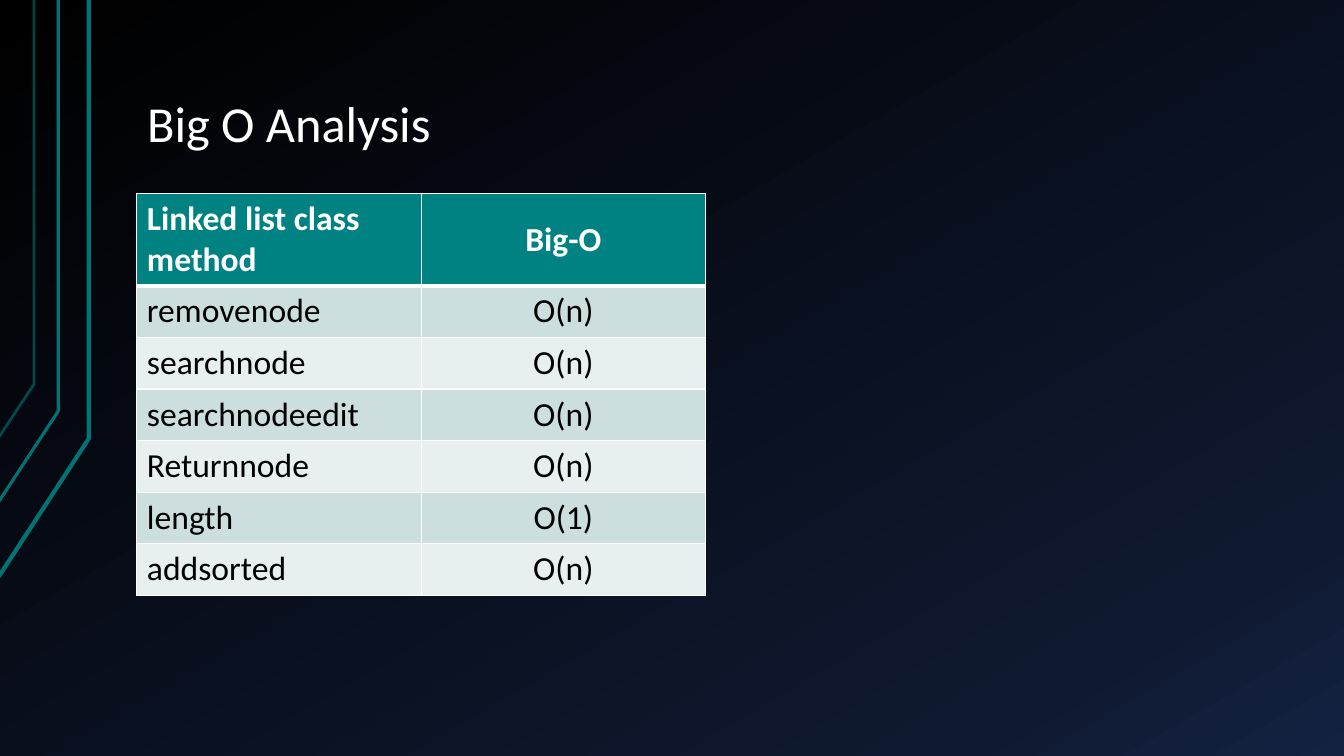
import copy

import pptx
import pptx.dml.color
import pptx.enum.text
import pptx.oxml
import pptx.oxml.ns
import pptx.util

Cm = pptx.util.Cm
Pt = pptx.util.Pt
FONT = "Calibri"
METHODS = [
    ("Linked list class method", "Big-O"),
    ("removenode", "O(n)"),
    ("searchnode", "O(n)"),
    ("searchnodeedit", "O(n)"),
    ("Returnnode", "O(n)"),
    ("length", "O(1)"),
    ("addsorted", "O(n)"),
]


def paint(color, value):
    """Set a colour format from a hex string."""
    color.rgb = pptx.dml.color.RGBColor.from_string(value)


def style_text(frame, size, value, bold=False):
    """Format every run of a text frame."""
    for para in frame.paragraphs:
        for span in para.runs:
            span.font.name = FONT
            span.font.size = Pt(size)
            span.font.bold = bold
            paint(span.font.color, value)


def add_background(page):
    """Fill the page with a diagonal gradient from black to navy."""
    fill = page.background.fill
    fill.gradient()
    fill.gradient_angle = 300
    first = fill.gradient_stops[0]
    paint(first.color, "000000")
    first.position = 0
    stop_list = fill._fill._gradFill.gsLst
    stop_list.append(copy.deepcopy(stop_list[1]))
    for stop, position, value in zip(list(fill.gradient_stops)[1:], (0.85, 1), ("0F1931", "142242")):
        stop.position = position
        paint(stop.color, value)


def add_circuit_lines(page, box):
    """Draw the bent lines down the left edge of the box."""
    left, top = box
    bends = [
        (2.24, 11.05, -0.03, 14.53, 3, 100),
        (1.47, 10.36, -0.05, 12.67, 2.25, 100),
        (0.86, 9.68, -0.03, 11.02, 2, 60),
    ]
    for bend_x, bend_y, end_x, end_y, width, opacity in bends:
        points = [(Cm(left + x), Cm(top + y)) for x, y in ((end_x, end_y), (bend_x, bend_y), (bend_x, 0))]
        builder = page.shapes.build_freeform(*points[0])
        builder.add_line_segments(points[1:], close=False)
        bent_line = builder.convert_to_shape()
        bent_line.shadow.inherit = False
        bent_line.fill.background()
        bent_line.line.width = Pt(width)
        paint(bent_line.line.color, "007373")
        if opacity < 100:
            line_color = bent_line.line.fill._xPr.find(".//" + pptx.oxml.ns.qn("a:srgbClr"))
            line_color.append(pptx.oxml.parse_xml(
                f'<a:alpha {pptx.oxml.ns.nsdecls("a")} val="{opacity * 1000}"/>'))


def add_title(page, box):
    """Place and format the title placeholder."""
    title = page.shapes.title
    title.left, title.top, title.width, title.height = map(Cm, box)
    frame = title.text_frame
    frame.text = "Big O Analysis"
    frame.word_wrap = True
    frame.vertical_anchor = pptx.enum.text.MSO_ANCHOR.BOTTOM
    frame.margin_left = frame.margin_right = Cm(0.33)
    frame.margin_top = frame.margin_bottom = Cm(0.18)
    frame.paragraphs[0].alignment = pptx.enum.text.PP_ALIGN.LEFT
    frame.paragraphs[0].line_spacing = 0.9
    style_text(frame, 36, "FFFFFF")


def add_borders(cell, widths):
    """Give the cell white borders, with widths in points by side."""
    properties = cell._tc.get_or_add_tcPr()
    for index, (side, width) in enumerate(widths.items()):
        properties.insert(index, pptx.oxml.parse_xml(
            f'<a:ln{side} {pptx.oxml.ns.nsdecls("a")} w="{Pt(width)}">'
            f'<a:solidFill><a:srgbClr val="FFFFFF"/></a:solidFill></a:ln{side}>'))


def add_method_table(page, box):
    """Build the table of methods and their complexity, header first."""
    left, top, width, height = map(Cm, box)
    table = page.shapes.add_table(len(METHODS), 2, left, top, width, height).table
    row_height = Cm(1.3)
    for index, texts in enumerate(METHODS):
        header = index == 0
        table.rows[index].height = height - row_height * (len(METHODS) - 1) if header else row_height
        fill = "008282" if header else ("E7EFEF", "CCDEDE")[index % 2]
        for column, text in enumerate(texts):
            cell = table.cell(index, column)
            cell.text_frame.text = text
            cell.vertical_anchor = pptx.enum.text.MSO_ANCHOR.MIDDLE
            if column == 1:
                cell.text_frame.paragraphs[0].alignment = pptx.enum.text.PP_ALIGN.CENTER
            style_text(cell.text_frame, 24, "FFFFFF" if header else "000000", header)
            cell.fill.solid()
            paint(cell.fill.fore_color, fill)
            add_borders(cell, {"L": 1, "R": 1, "T": 3 if index == 1 else 1, "B": 3 if header else 1})


def build_analysis_page(deck):
    """Add the Big O analysis page to the deck."""
    page = deck.slides.add_slide(deck.slide_layouts[5])
    add_background(page)
    add_circuit_lines(page, (0, 0))
    add_title(page, (3.38, 0.64, 28.78, 3.4))
    add_method_table(page, (3.45, 4.88, 14.33, 10.1))


deck = pptx.Presentation()
deck.slide_width, deck.slide_height = Cm(33.87), Cm(19.05)
build_analysis_page(deck)
deck.save("out.pptx")
